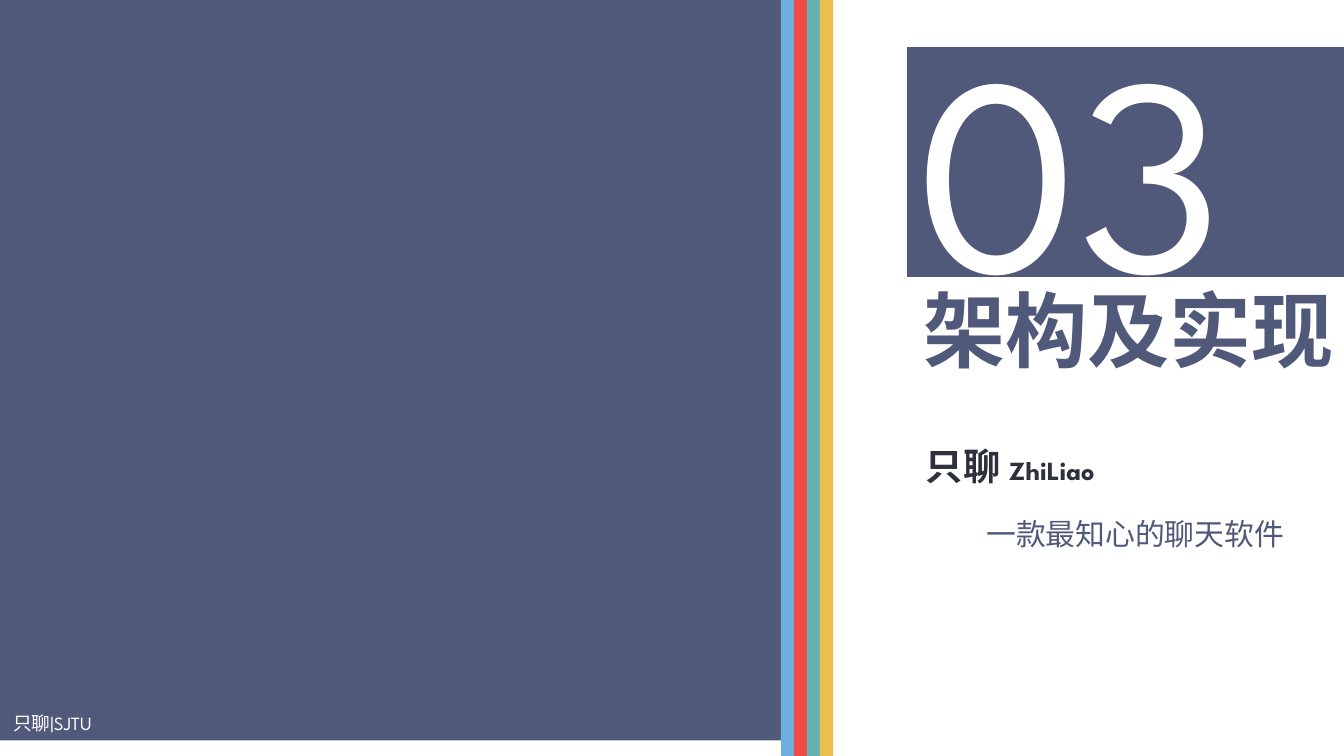
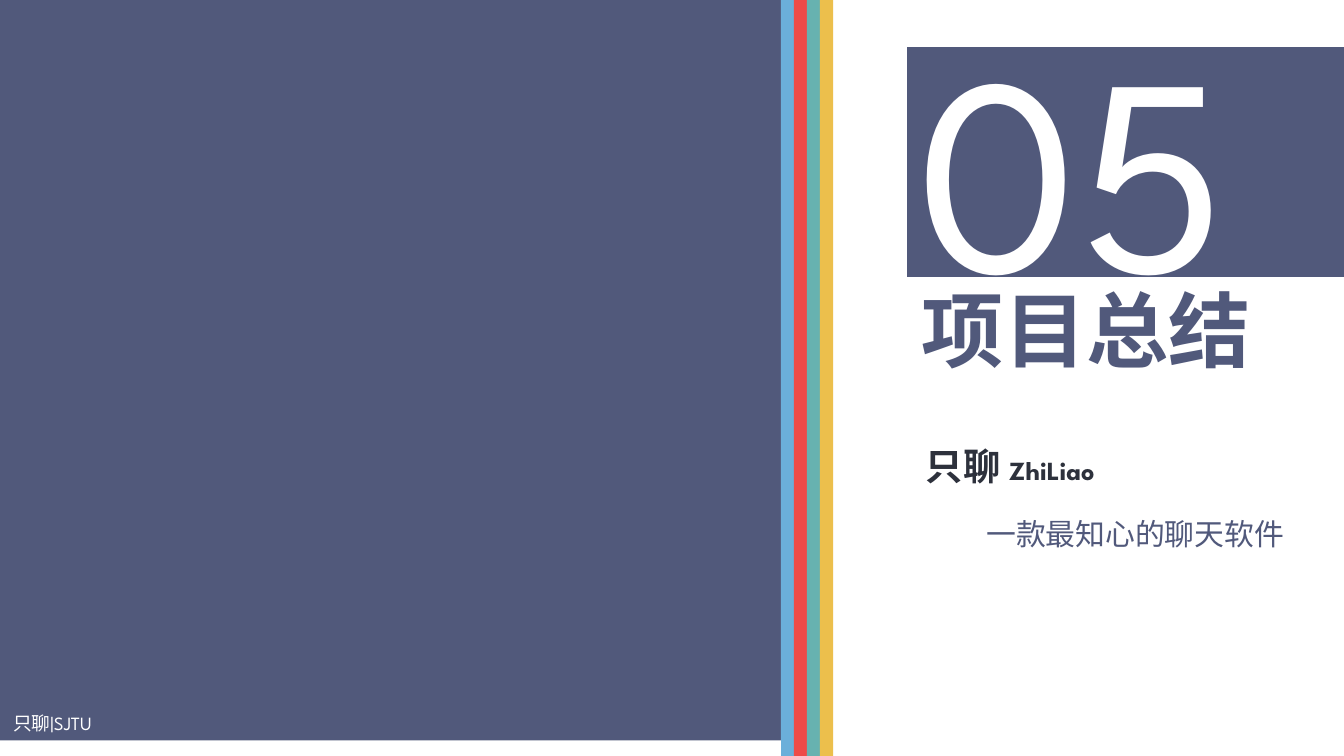
"""Build the section divider slides of the chat app talk."""
from pptx import Presentation
from pptx.dml.color import RGBColor
from pptx.enum import shapes, text
from pptx.util import Inches, Pt

FONT = "League Spartan"
NAVY = RGBColor(0x51, 0x59, 0x7B)
INK = RGBColor(0x2D, 0x31, 0x3C)
WHITE = RGBColor(0xFF, 0xFF, 0xFF)
BLUE = RGBColor(0x6B, 0xAF, 0xDA)
RED = RGBColor(0xEE, 0x4B, 0x48)
TEAL = RGBColor(0x67, 0xB2, 0xB0)
GOLD = RGBColor(0xEC, 0xBF, 0x4C)

WIDE = 10
HIGH = WIDE * 9 / 16
SPLIT, LAST = 5.81, 6.1
STRIPES = [BLUE, RED, TEAL, GOLD]
STEP = (LAST - SPLIT) / (len(STRIPES) - 1)

SECTIONS = [
    ("03", "架构及实现", (6.77, 2.03, 3.26, 0.84)),
    ("05", "项目总结", (6.76, 2.03, 2.64, 0.84)),
]
FOOTER = "只聊|SJTU"
BRAND = [("只聊 ", 20), ("ZhiLiao", 14)]
MOTTO = "一款最知心的聊天软件"


def rect(slide, box, color):
    """Draw a plain filled rectangle."""
    shape = slide.shapes.add_shape(shapes.MSO_SHAPE.RECTANGLE, *map(Inches, box))
    shape.shadow.inherit = False
    shape.fill.solid()
    shape.fill.fore_color.rgb = color
    shape.line.fill.background()


def write(shape, parts, color, bold=False, space=1.0, wrap=False):
    """Fill a text shape with one left-aligned line of sized runs."""
    frame = shape.text_frame
    frame.word_wrap = wrap
    frame.auto_size = text.MSO_AUTO_SIZE.SHAPE_TO_FIT_TEXT
    frame.vertical_anchor = text.MSO_ANCHOR.TOP
    para = frame.paragraphs[0]
    para.alignment = text.PP_ALIGN.LEFT
    para.line_spacing = space
    for words, size in parts:
        run = para.add_run()
        run.text = words
        run.font.name = FONT
        run.font.size = Pt(size)
        run.font.bold = bold
        run.font.color.rgb = color


def label(slide, box, parts, color, **style):
    """Add a text box and write in it."""
    write(slide.shapes.add_textbox(*map(Inches, box)), parts, color, **style)


def divide(deck, number, name, box):
    """Add one section divider."""
    slide = deck.slides.add_slide(deck.slide_layouts[5])
    rect(slide, (0, 0, SPLIT, HIGH), NAVY)
    for i, color in enumerate(STRIPES):
        rect(slide, (SPLIT + i * STEP, -0.42, 0.1, 6.26), color)
    rect(slide, (0, 5.51, SPLIT, 0.12), WHITE)
    label(slide, (0, 5.25, 0.88, 0.27), [(FOOTER, 10)], WHITE)
    rect(slide, (6.75, 0.35, 3.25, 1.71), NAVY)
    label(slide, (6.73, 0.18, 2.58, 2.35), [(number, 150)], WHITE, space=0.9)
    label(slide, (7.24, 3.71, 2.61, 0.45), [(MOTTO, 16)], NAVY, space=1.3, wrap=True)
    label(slide, (6.79, 3.15, 1.59, 0.54), BRAND, INK, bold=True, space=1.3)
    title = slide.shapes.title
    title.left, title.top, title.width, title.height = map(Inches, box)
    write(title, [(name, 44)], NAVY, bold=True)
    title.text_frame.margin_right = 0


def main():
    """Build and save the deck."""
    deck = Presentation()
    deck.slide_width, deck.slide_height = Inches(WIDE), Inches(HIGH)
    for section in SECTIONS:
        divide(deck, *section)
    deck.save("out.pptx")


if __name__ == "__main__":
    main()
